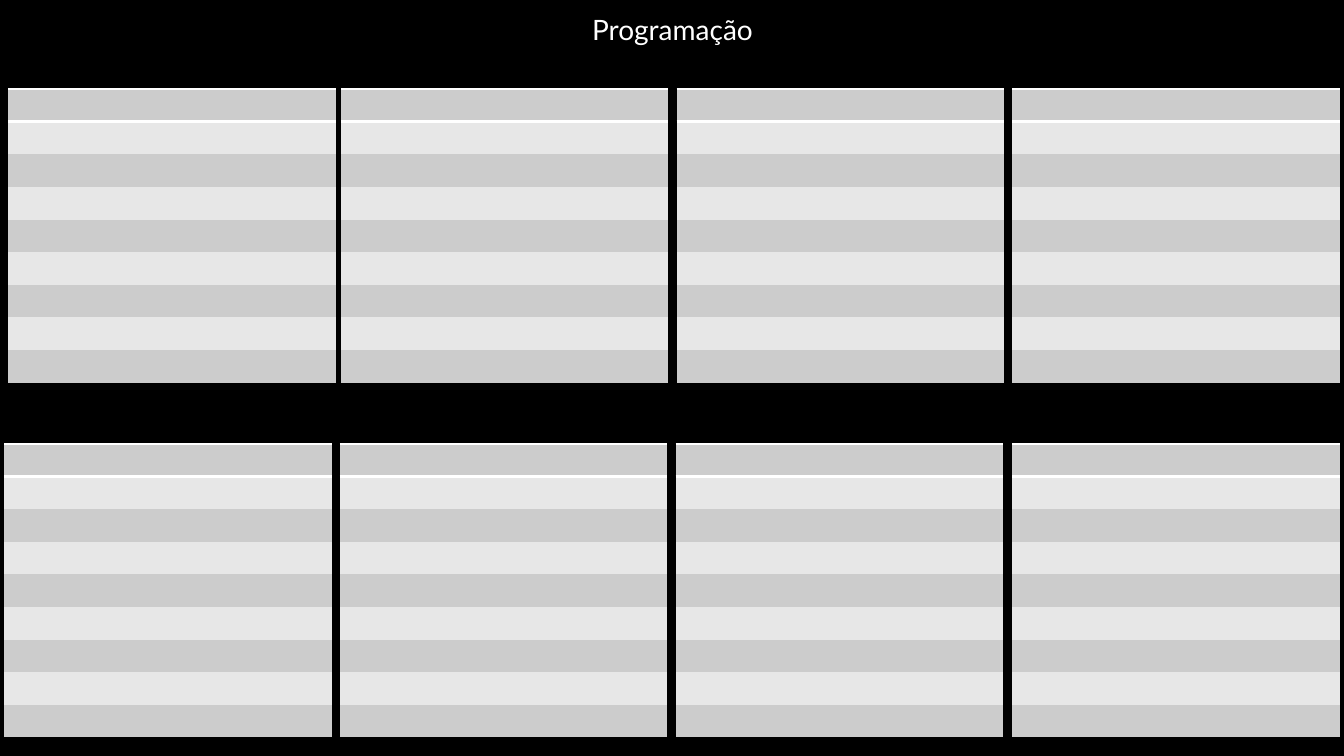
"""Build the programme slide: two rows of striped tables under a title."""
from dataclasses import dataclass

from lxml.etree import SubElement
from pptx import Presentation
from pptx.dml.color import RGBColor
from pptx.enum.text import MSO_AUTO_SIZE, PP_ALIGN
from pptx.oxml.ns import qn
from pptx.slide import Slide
from pptx.util import Inches, Pt

BLACK, WHITE = "000000", "FFFFFF"
STRIPES = ("CCCCCC", "E7E7E7")
ROW_COUNT = 10
TABLE_WIDTH, TABLE_HEIGHT = Inches(3.25), Inches(3.24)
PLAIN_STYLE = "{2D5ABB26-0587-4C30-8999-92F81FD0307C}"


@dataclass(frozen=True)
class ScheduleRow:
    """A band of tables sharing one top edge."""

    top: float
    lefts: tuple[float, ...]


SCHEDULE = (
    ScheduleRow(0.56, (0.08, 3.38, 6.71, 10.04)),
    ScheduleRow(4.08, (0.04, 3.37, 6.7, 10.04)),
)


def color(value: str) -> RGBColor:
    """Turn a hex string into a colour."""
    return RGBColor.from_string(value)


def add_border(properties, edge: str) -> None:
    """Put a white two-point line on one edge of a cell."""
    line = SubElement(properties, qn(f"a:{edge}"), w=str(Pt(2)))
    fill = SubElement(line, qn("a:solidFill"))
    SubElement(fill, qn("a:srgbClr"), val=WHITE)
    properties.insert(0, line)


def add_schedule(page: Slide, left: float, top: float) -> None:
    """Draw one table with a black heading row and striped rows."""
    frame = page.shapes.add_table(
        ROW_COUNT, 1, Inches(left), Inches(top), TABLE_WIDTH, TABLE_HEIGHT
    )
    table = frame.table
    table.horz_banding = False
    next(frame.element.iter(qn("a:tableStyleId"))).text = PLAIN_STYLE
    for index in range(ROW_COUNT):
        cell = table.cell(index, 0)
        cell.margin_top = cell.margin_bottom = 0
        cell.fill.solid()
        fill = STRIPES[(index - 1) % 2] if index else BLACK
        cell.fill.fore_color.rgb = color(fill)
    heading, first_stripe = list(frame.element.iter(qn("a:tcPr")))[:2]
    add_border(heading, "lnB")
    add_border(first_stripe, "lnT")


def add_title(page: Slide, text: str) -> None:
    """Write the centred title."""
    box = page.shapes.add_textbox(
        Inches(3.53), Inches(0.07), Inches(6.28), Inches(0.44)
    )
    box.text_frame.word_wrap = True
    box.text_frame.auto_size = MSO_AUTO_SIZE.SHAPE_TO_FIT_TEXT
    para = box.text_frame.paragraphs[0]
    para.text = text
    para.alignment = PP_ALIGN.CENTER
    para.font.name = "Lato"
    para.font.size = Pt(20)
    para.font.color.rgb = color(WHITE)


def main() -> None:
    """Create and save the deck."""
    deck = Presentation()
    deck.slide_width, deck.slide_height = Inches(13.33), Inches(7.5)
    page = deck.slides.add_slide(deck.slide_layouts[6])
    page.background.fill.solid()
    page.background.fill.fore_color.rgb = color(BLACK)
    for row in SCHEDULE:
        for left in row.lefts:
            add_schedule(page, left, row.top)
    add_title(page, "Programação")
    deck.save("out.pptx")


main()
